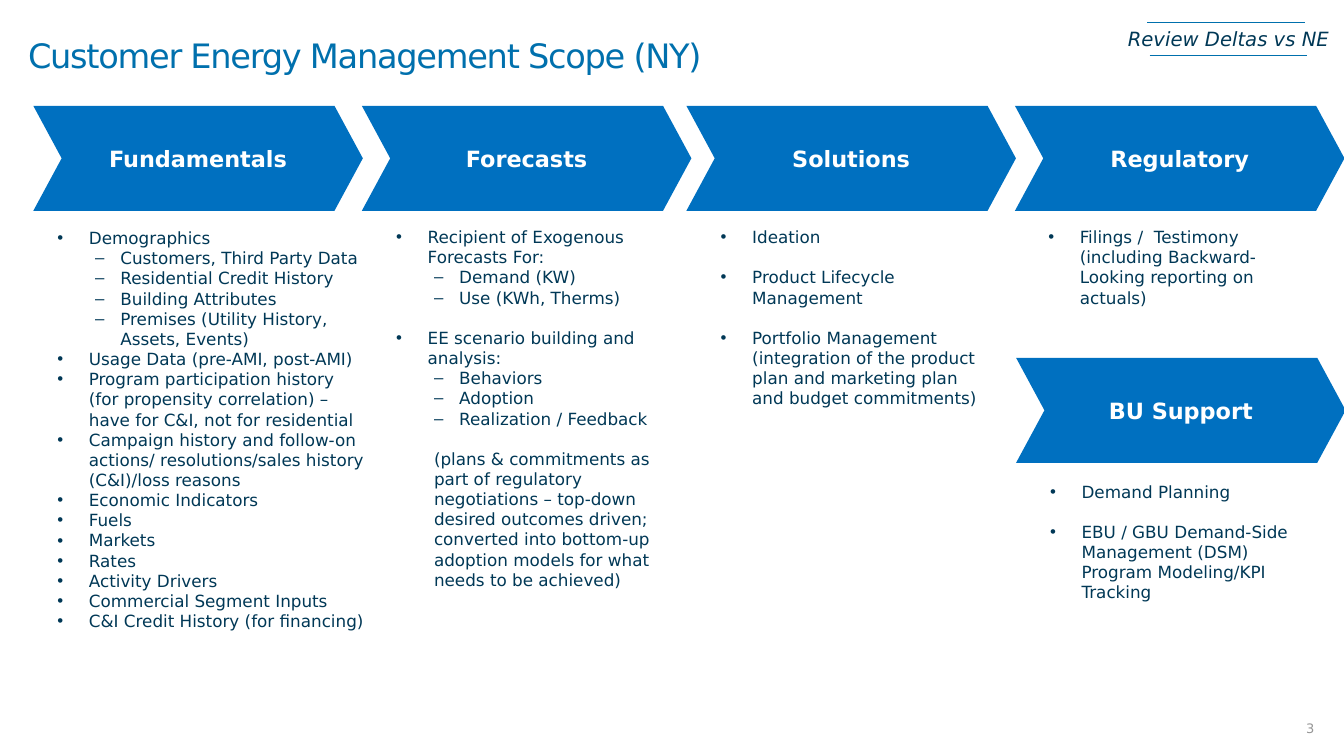
"""Build the Customer Energy Management scope slide."""
import dataclasses

import pptx
import pptx.dml.color
import pptx.enum.shapes
import pptx.enum.text
import pptx.oxml.ns
import pptx.util
from lxml import etree

Pt = pptx.util.Pt
RGB = pptx.dml.color.RGBColor.from_string
ALIGN = pptx.enum.text.PP_ALIGN
ANCHOR = pptx.enum.text.MSO_ANCHOR
qn = pptx.oxml.ns.qn


@dataclasses.dataclass(frozen=True)
class Theme:
    font: str = "DejaVu Sans"
    accent: str = "0070AD"
    chevron: str = "0070C0"
    ink: str = "003856"
    white: str = "FFFFFF"
    grey: str = "969696"
    title: float = 24
    heading: float = 16
    tag: float = 14
    body: float = 12
    number: float = 9.3
    leading: float = 14.4


ITEM, SUB, NOTE = range(3)
LEVELS = {ITEM: (22.5, -22.5, "•"), SUB: (45, -18, "‒"), NOTE: (27, 0, None)}


class Deck:
    """Hold the style and the current slide."""

    def __init__(self, theme):
        self.theme = theme
        self.prs = pptx.Presentation()
        self.prs.slide_width, self.prs.slide_height = Pt(960), Pt(540)
        self.s = self.prs.slides.add_slide(self.prs.slide_layouts[4])
        self.bodies = list(self.s.placeholders)[1:]

    def apply(self, obj, values):
        for name, value in values.items():
            setattr(obj, name, value)

    def place(self, sp, box):
        self.apply(sp, dict(zip(("left", "top", "width", "height"), map(Pt, box))))

    def frame(self, sp, **values):
        tf = sp.text_frame
        base = {"word_wrap": True, "auto_size": pptx.enum.text.MSO_AUTO_SIZE.NONE,
                "vertical_anchor": ANCHOR.TOP}
        self.apply(tf, base | values)
        return tf

    def styled_run(self, p, text, size, color, font=None, **values):
        r = p.add_run()
        r.text = text
        base = {"name": self.theme.font, "size": Pt(size), "bold": False}
        self.apply(r.font, base | (font or {}))
        r.font.color.rgb = RGB(color)
        self.apply(p, {"alignment": ALIGN.LEFT, "space_before": Pt(0)} | values)
        return r

    def title(self, text, box):
        sp = self.s.shapes.title
        self.place(sp, box)
        tf = self.frame(sp, vertical_anchor=ANCHOR.MIDDLE, margin_left=Pt(20),
                        margin_right=Pt(11), margin_top=Pt(2), margin_bottom=Pt(2))
        r = self.styled_run(tf.paragraphs[0], text, self.theme.title,
                            self.theme.accent, line_spacing=0.85)
        r._r.get_or_add_rPr().set("spc", "-90")

    def label(self, text, box, size, color, font=None, frame=None, **values):
        sp = self.s.shapes.add_textbox(*map(Pt, box))
        tf = self.frame(sp, **(frame or {}))
        self.styled_run(tf.paragraphs[0], text, size, color, font, **values)

    def line(self, x, y, length):
        kind = pptx.enum.shapes.MSO_CONNECTOR.STRAIGHT
        sp = self.s.shapes.add_connector(kind, Pt(x), Pt(y), Pt(x + length), Pt(y))
        sp.line.color.rgb = RGB(self.theme.accent)
        sp.line.width = Pt(0.75)
        etree.SubElement(sp._element.spPr, qn("a:effectLst"))

    def chevron(self, text, box):
        kind = pptx.enum.shapes.MSO_SHAPE.CHEVRON
        sp = self.s.shapes.add_shape(kind, *map(Pt, box))
        sp.adjustments[0] = 0.27
        sp.shadow.inherit = False
        sp.fill.solid()
        sp.fill.fore_color.rgb = RGB(self.theme.chevron)
        sp.line.fill.background()
        tf = self.frame(sp, vertical_anchor=ANCHOR.MIDDLE)
        self.styled_run(tf.paragraphs[0], text, self.theme.heading, self.theme.white,
                        {"bold": True}, alignment=ALIGN.CENTER)

    def bullet(self, p, level):
        margin, indent, mark = LEVELS[level]
        pPr = p._p.get_or_add_pPr()
        pPr.set("marL", str(Pt(margin)))
        pPr.set("indent", str(Pt(indent)))
        if mark:
            etree.SubElement(pPr, qn("a:buFont"), typeface="Arial")
            etree.SubElement(pPr, qn("a:buChar"), char=mark)
        else:
            etree.SubElement(pPr, qn("a:buNone"))

    def bullets(self, items, box):
        sp = self.bodies.pop(0) if self.bodies else self.s.shapes.add_textbox(0, 0, 0, 0)
        self.place(sp, box)
        tf = self.frame(sp)
        leading = Pt(self.theme.leading)
        for i, (level, text, *gap) in enumerate(items):
            p = tf.add_paragraph() if i else tf.paragraphs[0]
            self.styled_run(p, text, self.theme.body, self.theme.ink,
                            line_spacing=leading, space_after=Pt(0),
                            space_before=leading if gap else Pt(0))
            self.bullet(p, level)


GAP = True
STAGES = [
    ("Fundamentals", (23.8, 75.6), (33.8, 159.1, 234.7, 300), [
        (ITEM, "Demographics"),
        (SUB, "Customers, Third Party Data"),
        (SUB, "Residential Credit History"),
        (SUB, "Building Attributes"),
        (SUB, "Premises (Utility History, Assets, Events)"),
        (ITEM, "Usage Data (pre-AMI, post-AMI)"),
        (ITEM, "Program participation history (for propensity correlation) – "
               "have for C&I, not for residential"),
        (ITEM, "Campaign history and follow-on actions/ resolutions/sales history "
               "(C&I)/loss reasons"),
        (ITEM, "Economic Indicators"),
        (ITEM, "Fuels"),
        (ITEM, "Markets"),
        (ITEM, "Rates"),
        (ITEM, "Activity Drivers"),
        (ITEM, "Commercial Segment Inputs"),
        (ITEM, "C&I Credit History (for financing)")]),
    ("Forecasts", (258.5, 75.6), (275.8, 158.4, 203.8, 270), [
        (ITEM, "Recipient of Exogenous Forecasts For:"),
        (SUB, "Demand (KW)"),
        (SUB, "Use (KWh, Therms)"),
        (ITEM, "EE scenario building and analysis:", GAP),
        (SUB, "Behaviors"),
        (SUB, "Adoption"),
        (SUB, "Realization / Feedback"),
        (NOTE, "(plans & commitments as part of regulatory negotiations – top-down "
               "desired outcomes driven; converted into bottom-up adoption models "
               "for what needs to be achieved)", GAP)]),
    ("Solutions", (490.3, 75.6), (507.6, 158.4, 203.8, 138), [
        (ITEM, "Ideation"),
        (ITEM, "Product Lifecycle Management", GAP),
        (ITEM, "Portfolio Management (integration of the product plan and marketing "
               "plan and budget commitments)", GAP)]),
    ("Regulatory", (725, 75.6), (741.6, 158.4, 203.8, 80), [
        (ITEM, "Filings /  Testimony (including Backward-Looking reporting on actuals)")]),
    ("BU Support", (725.8, 255.6), (743, 340.2, 203.8, 94), [
        (ITEM, "Demand Planning"),
        (ITEM, "EBU / GBU Demand-Side Management (DSM) Program Modeling/KPI Tracking",
         GAP)]),
]

theme = Theme()
deck = Deck(theme)
deck.title("Customer Energy Management Scope (NY)", (0, 0, 960, 83.5))
deck.label("Review Deltas vs NE", (798.5, 15.8, 159.8, 24.5), theme.tag, theme.ink,
           {"italic": True}, {"word_wrap": False})
for x, y in ((819.4, 15.8), (821.2, 39.6)):
    deck.line(x, y, 112.5)
for heading, corner, box, items in STAGES:
    deck.chevron(heading, (*corner, 235.4, 75))
    deck.bullets(items, box)
deck.label("3", (912.2, 507.6, 47.5, 25.2), theme.number, theme.grey,
           frame={"vertical_anchor": ANCHOR.MIDDLE}, alignment=ALIGN.CENTER)
deck.prs.save("out.pptx")
